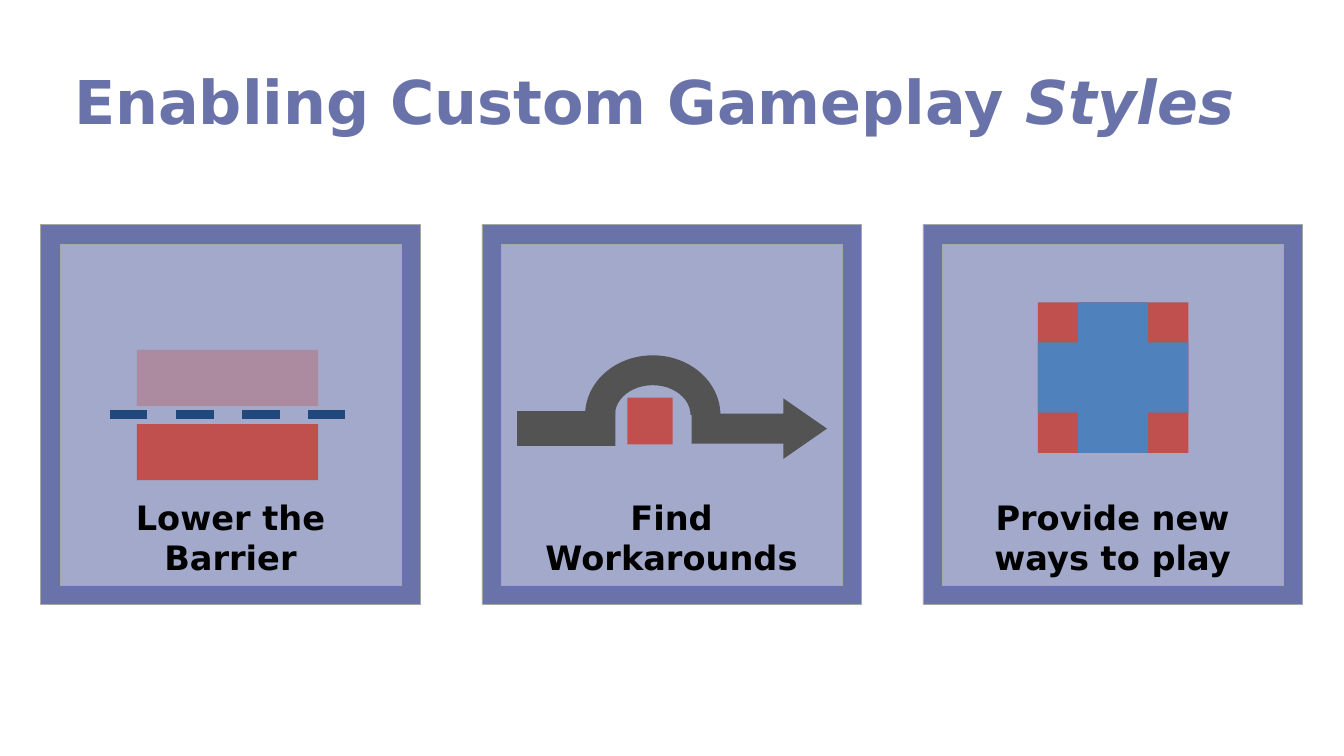
from dataclasses import dataclass

from lxml.etree import SubElement
from pptx import Presentation
from pptx.dml.color import RGBColor
from pptx.enum.dml import MSO_LINE
from pptx.enum.shapes import MSO_CONNECTOR, MSO_SHAPE
from pptx.enum.text import MSO_ANCHOR, MSO_AUTO_SIZE, PP_ALIGN
from pptx.oxml.ns import qn
from pptx.util import Inches, Pt


@dataclass(frozen=True)
class Theme:
    font: str = "DejaVu Sans"
    head: float = 57.5
    label: float = 32
    frame: str = "6973A9"
    panel: str = "A2A9CB"
    edge: str = "A7A7A7"
    text: str = "000000"
    red: str = "C0504D"
    blue: str = "4F81BD"
    navy: str = "1F497D"
    gray: str = "535353"


theme = Theme()


def draw(group, kind, left, top, width, height, fill, edge=None):
    shape = group.shapes.add_shape(
        kind, Inches(left), Inches(top), Inches(width), Inches(height))
    shape.shadow.inherit = False
    shape.fill.solid()
    shape.fill.fore_color.rgb = RGBColor.from_string(fill)
    if edge:
        shape.line.color.rgb = RGBColor.from_string(edge)
        shape.line.width = Pt(0.75)
    else:
        shape.line.fill.background()
    return shape


def write(parent, text, left, top, width, height, inset, size, color):
    box = parent.shapes.add_textbox(
        Inches(left), Inches(top), Inches(width), Inches(height))
    frame = box.text_frame
    frame.word_wrap = True
    frame.margin_left = frame.margin_right = Inches(inset)
    frame.margin_top = frame.margin_bottom = Inches(inset)
    frame.text = text
    font = frame.paragraphs[0].runs[0].font
    font.name, font.size, font.bold = theme.font, Pt(size), True
    font.color.rgb = RGBColor.from_string(color)
    return frame


deck = Presentation()
deck.slide_width, deck.slide_height = Inches(17.78), Inches(10)
slide = deck.slides.add_slide(deck.slide_layouts[6])

# Title, with its last word in italics
title = write(slide, "Enabling Custom Gameplay ", 0.89, 0.76, 16, 1.58,
              0.09, theme.head, theme.frame)
word = title.paragraphs[0].add_run()
word.text = "Styles"
word.font.name, word.font.size = theme.font, Pt(theme.head)
word.font.bold = word.font.italic = True
word.font.color.rgb = RGBColor.from_string(theme.frame)

# Three framed cards with labels
rect = MSO_SHAPE.RECTANGLE
cards = []
for i, text in enumerate(
        ["Lower the Barrier", "Find Workarounds", "Provide new ways to play"]):
    left = 0.54 + i * 5.835
    card = slide.shapes.add_group_shape()
    draw(card, rect, left, 2.97, 5.02, 5.02, theme.frame, theme.edge)
    draw(card, rect, left + 0.26, 3.23, 4.51, 4.51, theme.panel, theme.edge)
    label = write(card, text, left + 0.3, 6.46, 4.42, 1.28,
                  0.1, theme.label, theme.text)
    label.auto_size = MSO_AUTO_SIZE.SHAPE_TO_FIT_TEXT
    label.vertical_anchor = MSO_ANCHOR.MIDDLE
    label.paragraphs[0].alignment = PP_ALIGN.CENTER
    cards.append(card)
lower, around, play = cards

# Lower the barrier: solid block, faded block and dashed line
draw(lower, rect, 1.81, 5.61, 2.4, 0.74, theme.red)
faded = draw(lower, rect, 1.81, 4.63, 2.4, 0.74, theme.red)
color = faded.element.spPr.find(".//" + qn("a:srgbClr"))
SubElement(color, qn("a:alpha")).set("val", "34000")
dash = lower.shapes.add_connector(
    MSO_CONNECTOR.STRAIGHT,
    Inches(1.45), Inches(5.48), Inches(4.57), Inches(5.48))
dash.line.color.rgb = RGBColor.from_string(theme.navy)
dash.line.width = Pt(9)
dash.line.dash_style = MSO_LINE.DASH
SubElement(dash.element.spPr, qn("a:effectLst"))

# Find workarounds: a path that arches over a block
draw(around, rect, 6.84, 5.44, 1.3, 0.46, theme.gray)
arch = draw(around, MSO_SHAPE.BLOCK_ARC, 7.74, 4.7, 1.79, 1.58, theme.gray)
arch.adjustments[0] = 108
arch.adjustments[1] = 0
arch.adjustments[2] = 0.25
arrow = draw(around, MSO_SHAPE.RIGHT_ARROW, 9.15, 5.27, 1.79, 0.8, theme.gray)
arrow.adjustments[0] = 0.5
arrow.adjustments[1] = 0.72
draw(around, rect, 8.3, 5.26, 0.6, 0.62, theme.red)

# New ways to play: a cross of two bars on a square
draw(play, rect, 13.73, 4, 1.99, 1.99, theme.red)
for angle in (0, 90):
    bar = draw(play, rect, 14.26, 4, 0.93, 1.99, theme.blue)
    bar.rotation = angle

deck.save("out.pptx")
